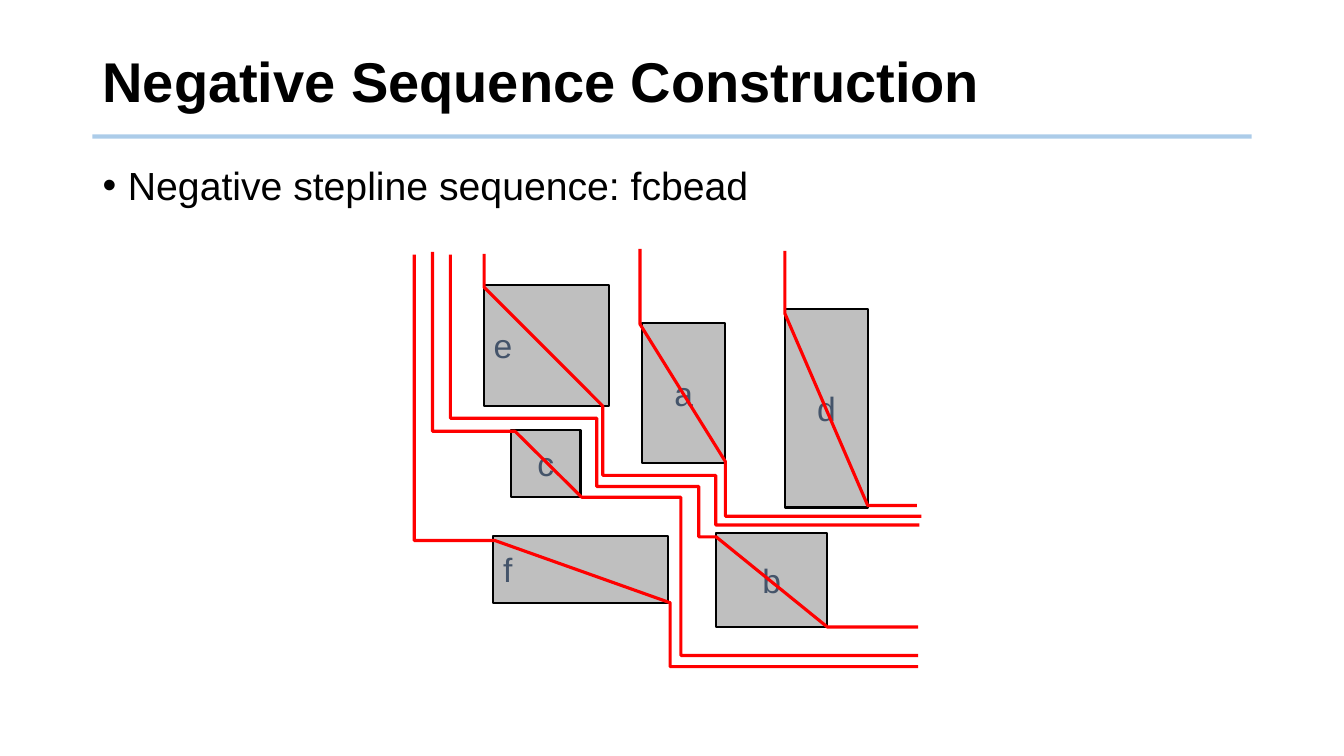
from lxml import etree
from pptx import Presentation
from pptx.dml.color import RGBColor
from pptx.enum.shapes import MSO_CONNECTOR, MSO_SHAPE
from pptx.enum.text import MSO_ANCHOR, MSO_AUTO_SIZE, PP_ALIGN
from pptx.oxml.ns import qn
from pptx.util import Cm, Pt

BLACK = RGBColor(0x00, 0x00, 0x00)
GREY = RGBColor(0xBF, 0xBF, 0xBF)
SLATE = RGBColor(0x44, 0x54, 0x6A)
RED = RGBColor(0xFF, 0x00, 0x00)
BLUE = RGBColor(0x5B, 0x9B, 0xD5)

RECTANGLE, STRAIGHT = MSO_SHAPE.RECTANGLE, MSO_CONNECTOR.STRAIGHT
MIDDLE, TOP = MSO_ANCHOR.MIDDLE, MSO_ANCHOR.TOP
LEFT, CENTER = PP_ALIGN.LEFT, PP_ALIGN.CENTER
NO_FIT = MSO_AUTO_SIZE.NONE

FONT = "Arial"
MARGIN, CONTENT_WIDTH = 2.33, 29.21

# Modules in cm from the diagram's corner: left, top, width, height, alignment
MODULES = {
    "e": (1.75, 0.91, 3.15, 3.05, LEFT),
    "a": (5.74, 1.88, 2.1, 3.51, CENTER),
    "f": (1.99, 7.23, 4.41, 1.7, LEFT),
    "d": (9.34, 1.52, 2.1, 5, CENTER),
    "c": (2.44, 4.57, 1.75, 1.68, CENTER),
    "b": (7.61, 7.17, 2.8, 2.36, CENTER),
}

# Negative steplines in sequence order, in cm from the diagram's corner
STEPLINES = [
    # f
    [(0, 0.15), (0, 7.35), (2.03, 7.35), (6.45, 8.92), (6.45, 10.53),
     (12.7, 10.53)],
    # c
    [(0.46, 0.08), (0.46, 4.6), (2.54, 4.6), (4.22, 6.26), (6.72, 6.26),
     (6.72, 10.25), (12.7, 10.25)],
    # b
    [(0.91, 0.15), (0.91, 4.27), (4.6, 4.27), (4.6, 5.99), (7.17, 5.99),
     (7.17, 7.26), (7.61, 7.26), (10.41, 9.53), (12.7, 9.53)],
    # e
    [(1.76, 0.13), (1.76, 0.97), (4.75, 3.96), (4.75, 5.71), (7.6, 5.71),
     (7.6, 6.96), (12.73, 6.96)],
    # a
    [(5.69, 0), (5.69, 1.9), (7.84, 5.36), (7.84, 6.74), (12.78, 6.74)],
    # d
    [(9.34, 0.05), (9.34, 1.63), (11.43, 6.47), (12.67, 6.47)],
]


def style_font(para, size, color, bold=False):
    para.font.name = FONT
    para.font.size = Pt(size)
    para.font.bold = bold
    para.font.color.rgb = color


def fill_placeholder(box, left, top, width, height, text, anchor):
    box.left, box.top = Cm(left), Cm(top)
    box.width, box.height = Cm(width), Cm(height)
    frame = box.text_frame
    frame.text = text
    frame.word_wrap = True
    frame.auto_size = NO_FIT
    frame.vertical_anchor = anchor
    para = frame.paragraphs[0]
    para.alignment = LEFT
    para.line_spacing = 0.9
    para.space_before = Pt(0)
    return para


def add_heading(page, left, top, width, height):
    # Rule under the title
    rule_y = Cm(top + height - 0.08)
    rule = page.shapes.add_connector(
        STRAIGHT, Cm(left), rule_y, Cm(left + width), rule_y)
    rule.line.width = Pt(3)
    rule.line.color.rgb = BLUE
    etree.SubElement(rule.element.spPr, qn("a:effectLst"))
    color = rule.element.spPr.find(".//" + qn("a:srgbClr"))
    etree.SubElement(color, qn("a:alpha"), val="50000")

    # Title
    para = fill_placeholder(page.shapes.title, left, top, width, height,
                            "Negative Sequence Construction", MIDDLE)
    style_font(para, 40, BLACK, bold=True)


def add_body(page, left, top, width, height):
    para = fill_placeholder(page.placeholders[1], left, top, width, height,
                            "Negative stepline sequence: fcbead", TOP)
    properties = para._p.get_or_add_pPr()
    properties.set("marL", str(Cm(0.64)))
    properties.set("indent", str(Cm(-0.64)))
    etree.SubElement(properties, qn("a:buFont"), typeface=FONT)
    etree.SubElement(properties, qn("a:buChar"), char="•")
    style_font(para, 28, BLACK)


def add_module(page, left, top, width, height, label, alignment):
    module = page.shapes.add_shape(
        RECTANGLE, Cm(left), Cm(top), Cm(width), Cm(height))
    module.shadow.inherit = False
    module.fill.solid()
    module.fill.fore_color.rgb = GREY
    module.line.color.rgb = BLACK
    module.line.width = Pt(1.5)
    frame = module.text_frame
    frame.text = label
    frame.word_wrap = True
    frame.vertical_anchor = MIDDLE
    para = frame.paragraphs[0]
    para.alignment = alignment
    style_font(para, 24, SLATE)


def add_stepline(page, left, top, points):
    corners = [(Cm(left + x), Cm(top + y)) for x, y in points]
    builder = page.shapes.build_freeform(*corners[0])
    builder.add_line_segments(corners[1:], close=False)
    stepline = builder.convert_to_shape()
    stepline.shadow.inherit = False
    stepline.fill.background()
    stepline.line.color.rgb = RED
    stepline.line.width = Pt(2.25)


def add_diagram(page, left, top):
    for label, (x, y, width, height, alignment) in MODULES.items():
        add_module(page, left + x, top + y, width, height, label, alignment)
    for points in STEPLINES:
        add_stepline(page, left, top, points)


def main():
    deck = Presentation()
    deck.slide_width, deck.slide_height = Cm(33.87), Cm(19.05)
    page = deck.slides.add_slide(deck.slide_layouts[1])
    add_heading(page, MARGIN, 0.72, CONTENT_WIDTH, 2.8)
    add_body(page, MARGIN, 4.06, CONTENT_WIDTH, 13.08)
    add_diagram(page, 10.44, 6.27)
    deck.save("out.pptx")


if __name__ == "__main__":
    main()
